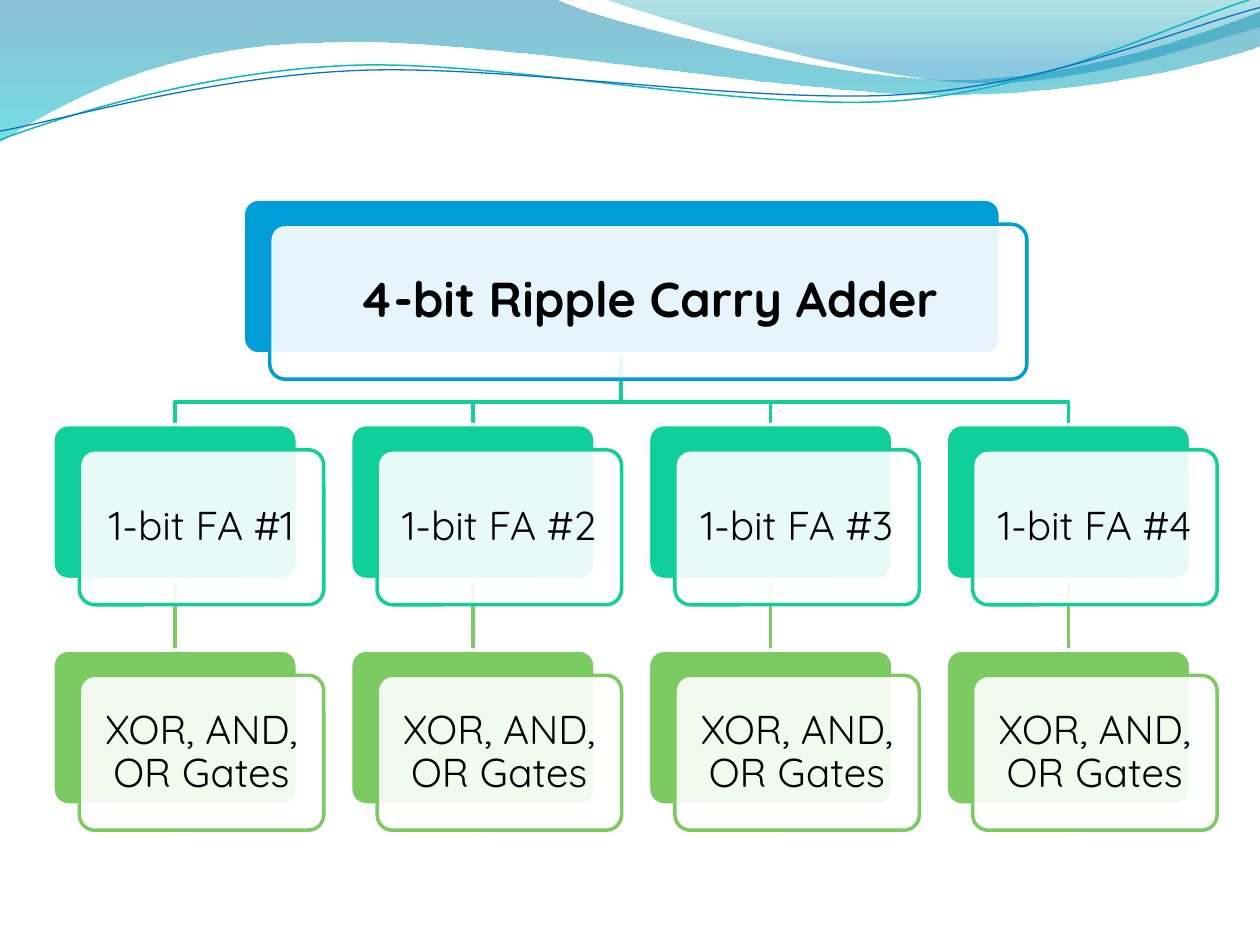
from lxml.etree import SubElement
from pptx import Presentation
from pptx.dml.color import RGBColor
from pptx.enum.shapes import MSO_SHAPE as Shape
from pptx.enum.text import MSO_ANCHOR as Anchor, PP_ALIGN as Align
from pptx.oxml.ns import qn
from pptx.util import Inches, Pt

BLUE, TEAL, GREEN, WHITE, BLACK = "009DD9", "10CF9B", "7CCA62", "FFFFFF", "000000"
ROOT_TOP, ADDER_TOP, GATES_TOP = 1.58, 3.37, 5.16
ROOT_LEFT, ROOT_WIDTH, CARD_WIDTH, CARD_HEIGHT = 1.93, 6.01, 1.94, 1.23
CARD_OFFSET_X, CARD_OFFSET_Y = 0.21, 0.2
COLUMN_COUNT, FIRST_COLUMN, LAST_COLUMN = 4, 0.42, 7.51
ROOT_CENTER, BRANCH_Y, LINK_BOX = 4.93, 3.19, 0.1

WAVE_BAND = [
    (0, -0.01), (4.4, -0.01),
    ((4.76, 0.17), (6.64, 0.63), (7.58, 0.63)),
    ((8.53, 0.63), (9.58, 0.26), (10, 0.09)),
    (10.01, 0.36),
    ((9.83, 0.44), (8.7, 0.76), (7.46, 0.75)),
    ((6.22, 0.75), (3.82, 0.28), (2.57, 0.34)),
    ((1.29, 0.35), (0.46, 0.83), (-0.01, 1.13)),
    (0, -0.01),
]
WAVE_CORNER = [
    (4.79, -0.01),
    ((5.09, 0.11), (6.82, 0.62), (7.69, 0.65)),
    ((8.56, 0.69), (9.61, 0.32), (10, 0.21)),
    (10, 0), (4.79, -0.01),
]
TEAL_STRAND = [
    (0, 1.11),
    ((0.48, 0.93), (1.58, 0.57), (2.77, 0.52)),
    ((3.95, 0.47), (5.93, 0.89), (7.13, 0.8)),
    ((8.33, 0.71), (9.38, 0.15), (9.98, -0.02)),
]
BLUE_STRAND = [
    (0, 1.04),
    ((0.47, 0.96), (1.64, 0.61), (2.83, 0.56)),
    ((4.03, 0.51), (5.97, 0.83), (7.17, 0.75)),
    ((8.36, 0.67), (9.41, 0.21), (10, 0.06)),
]


def set_color(color, value):
    """Give a colour format its hex value."""
    color.rgb = RGBColor.from_string(value)


def set_opacity(element, percent):
    """Make the colour inside a fill or gradient stop translucent."""
    for color in element.iter(qn("a:srgbClr")):
        SubElement(color, qn("a:alpha"), val=str(percent * 1000))


def set_line(line, color, width):
    """Set the colour and the width in points of a line."""
    set_color(line.color, color)
    line.width = Pt(width)


def is_curve(segment):
    """Tell a cubic curve of three points from a corner point."""
    return len(segment) == 3


def add_outline(slide, segments, close=False):
    """Draw an outline from corner points and cubic curves."""
    corners = [segment[-1] if is_curve(segment) else segment for segment in segments]
    points = [(Inches(x), Inches(y)) for x, y in corners]
    builder = slide.shapes.build_freeform(*points[0])
    builder.add_line_segments(points[1:], close=close)
    shape = builder.convert_to_shape()
    shape.shadow.inherit = False
    straights = list(shape._element.iter(qn("a:lnTo")))
    for straight, segment in zip(straights, segments[1:]):
        if is_curve(segment):
            straight.tag = qn("a:cubicBezTo")
            straight.clear()
            for x, y in segment:
                SubElement(straight, qn("a:pt"), x=str(Inches(x) - shape.left),
                           y=str(Inches(y) - shape.top))
    return shape


def add_wave(slide, segments, stops):
    """Add a wave with a top-to-bottom gradient of (position, colour, opacity)."""
    shape = add_outline(slide, segments, close=True)
    shape.line.fill.background()
    shape.fill.gradient()
    shape.fill.gradient_angle = 270
    for stop, (position, color, opacity) in zip(shape.fill.gradient_stops, stops):
        stop.position = position
        set_color(stop.color, color)
        set_opacity(stop._gs, opacity)


def add_strand(slide, segments, color, width):
    """Add an open line through corner points and curves."""
    shape = add_outline(slide, segments)
    shape.fill.background()
    set_line(shape.line, color, width)
    return shape


def add_link(slide, x, top, bottom, color):
    """Add a vertical link, centred in a narrow box."""
    shape = add_strand(slide, [(x, top), (x, bottom)], color, 2)
    shape.left, shape.width = Inches(x - LINK_BOX / 2), Inches(LINK_BOX)
    for outline in shape._element.iter(qn("a:path")):
        outline.set("w", str(Inches(LINK_BOX)))
        for point in outline.iter(qn("a:pt")):
            point.set("x", str(Inches(LINK_BOX / 2)))


def add_panel(slide, left, top, width, fill, line):
    """Add one rounded panel of a card."""
    shape = slide.shapes.add_shape(
        Shape.ROUNDED_RECTANGLE, Inches(left), Inches(top), Inches(width), Inches(CARD_HEIGHT))
    shape.adjustments[0] = 0.1
    shape.shadow.inherit = False
    shape.fill.solid()
    set_color(shape.fill.fore_color, fill)
    set_line(shape.line, line, 2)
    return shape


def add_card(slide, left, top, width, color, text, size=23, bold=False):
    """Add a coloured panel with an offset translucent panel that holds the text."""
    add_panel(slide, left, top, width, color, WHITE)
    front = add_panel(slide, left + CARD_OFFSET_X, top + CARD_OFFSET_Y, width, WHITE, color)
    set_opacity(front._element.spPr.find(qn("a:solidFill")), 90)
    frame = front.text_frame
    frame.word_wrap = True
    frame.vertical_anchor = Anchor.MIDDLE
    frame.margin_left = frame.margin_right = Inches(0.14)
    frame.margin_top = frame.margin_bottom = Inches(0.14)
    paragraph = frame.paragraphs[0]
    paragraph.text = text
    paragraph.alignment = Align.CENTER
    paragraph.line_spacing = 0.9
    paragraph.font.name = "Quicksand"
    paragraph.font.size = Pt(size)
    paragraph.font.bold = bold
    set_color(paragraph.font.color, BLACK)


def add_waves(slide):
    """Add the decoration along the top edge."""
    add_wave(slide, WAVE_BAND, [(0, "0074A1", 45), (1, "00C6CF", 55)])
    add_wave(slide, WAVE_CORNER, [(0, "00A1A9", 30), (0.8, "008BBF", 45)])
    add_strand(slide, TEAL_STRAND, "0AB8BF", 0.85)
    add_strand(slide, BLUE_STRAND, "0F6FC6", 0.75)


def add_hierarchy(slide):
    """Add the adder tree, with its links behind its cards."""
    pitch = (LAST_COLUMN - FIRST_COLUMN) / (COLUMN_COUNT - 1)
    lefts = [FIRST_COLUMN + pitch * column for column in range(COLUMN_COUNT)]
    for left in reversed(lefts):
        center = left + CARD_WIDTH / 2
        add_link(slide, center, ADDER_TOP + CARD_HEIGHT, GATES_TOP, GREEN)
        branch = [(ROOT_CENTER, ROOT_TOP + CARD_HEIGHT), (ROOT_CENTER, BRANCH_Y),
                  (center, BRANCH_Y), (center, ADDER_TOP)]
        add_strand(slide, branch, TEAL, 2)
    add_card(slide, ROOT_LEFT, ROOT_TOP, ROOT_WIDTH, BLUE,
             "4-bit Ripple Carry Adder", size=28, bold=True)
    for number, left in enumerate(lefts, start=1):
        add_card(slide, left, ADDER_TOP, CARD_WIDTH, TEAL, f"1-bit FA #{number}")
        add_card(slide, left, GATES_TOP, CARD_WIDTH, GREEN, "XOR, AND, OR Gates")


def main():
    """Build and save the slide."""
    presentation = Presentation()
    presentation.slide_width, presentation.slide_height = Inches(10), Inches(7.5)
    slide = presentation.slides.add_slide(presentation.slide_layouts[6])
    add_waves(slide)
    add_hierarchy(slide)
    presentation.save("out.pptx")


if __name__ == "__main__":
    main()
